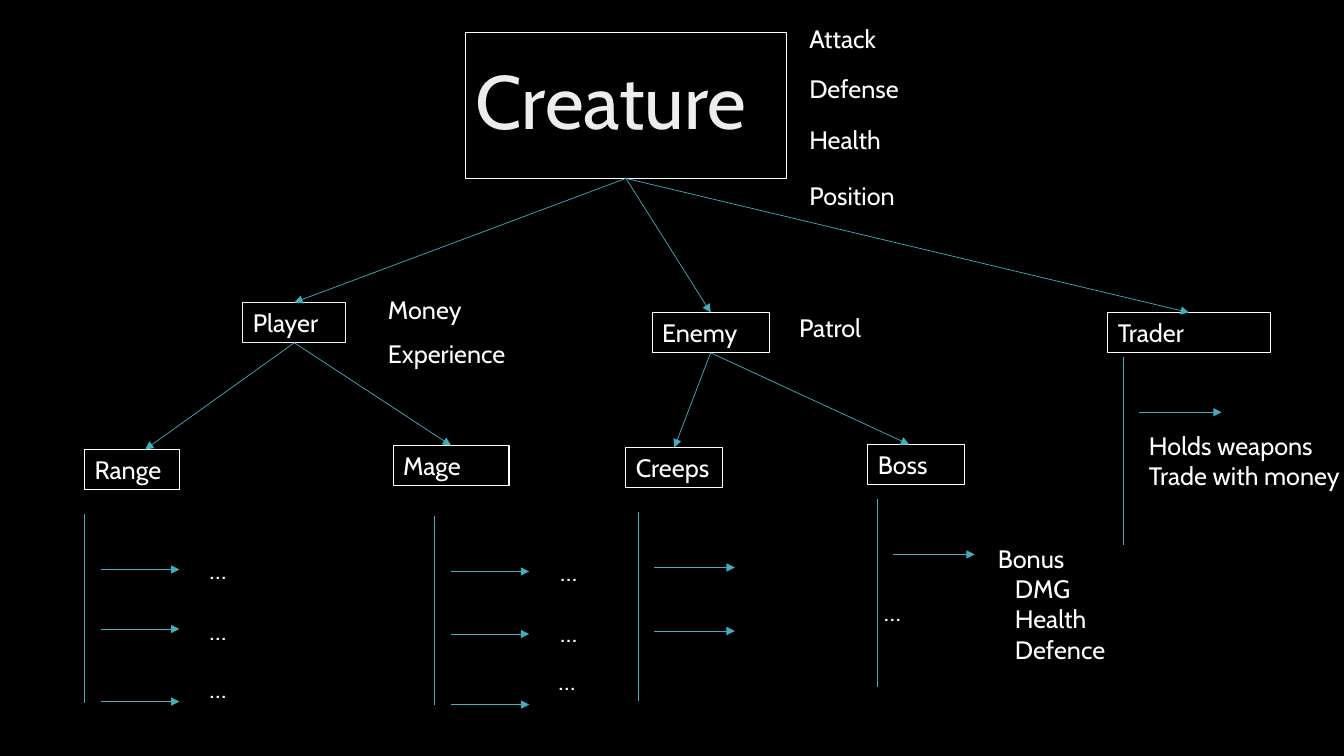
from lxml import etree
from pptx import Presentation
from pptx.dml.color import RGBColor
from pptx.enum.shapes import MSO_CONNECTOR, MSO_SHAPE
from pptx.enum.text import MSO_ANCHOR, MSO_AUTO_SIZE, PP_ALIGN
from pptx.oxml import parse_xml
from pptx.oxml.ns import nsdecls, qn
from pptx.util import Inches, Pt

RECTANGLE = MSO_SHAPE.RECTANGLE
STRAIGHT = MSO_CONNECTOR.STRAIGHT
TOP, MIDDLE = MSO_ANCHOR.TOP, MSO_ANCHOR.MIDDLE
LEFT = PP_ALIGN.LEFT
NO_FIT, GROW = MSO_AUTO_SIZE.NONE, MSO_AUTO_SIZE.SHAPE_TO_FIT_TEXT

BLACK = RGBColor(0x00, 0x00, 0x00)
WHITE = RGBColor(0xFF, 0xFF, 0xFF)
OFF_WHITE = RGBColor(0xF2, 0xF2, 0xF2)
TEAL = RGBColor(0x41, 0xAE, 0xBD)
SILVER = RGBColor(0xBF, 0xBF, 0xBF)
PALE = RGBColor(0xED, 0xED, 0xED)
TITLE_STOPS = ((0, SILVER), (28, PALE), (100, WHITE))
TITLE_ANGLE = 80

FONT = "Cabin"
CELL = 0.1  # inches per grid column and row
COLUMNS, ROWS = 133.33, 75
TEXT_ROWS = 4
BOTTOM_SITE, TOP_SITE = 2, 0


def grid(*cells):
    """Turn columns or rows into slide lengths."""
    return [Inches(cell * CELL) for cell in cells]


class Diagram:
    """Class tree drawn on one dark slide."""

    def __init__(self, presentation):
        presentation.slide_width, presentation.slide_height = grid(COLUMNS, ROWS)
        self.slide = presentation.slides.add_slide(presentation.slide_layouts[5])
        self.shapes = self.slide.shapes
        background = self.slide.background.fill
        background.solid()
        background.fore_color.rgb = BLACK

    def title(self, text, left, top, width, height):
        title = self.shapes.title
        title.left, title.top, title.width, title.height = grid(left, top, width, height)
        self.outline(title, WHITE)
        frame = title.text_frame
        frame.text = text
        frame.auto_size = NO_FIT
        frame.vertical_anchor = MIDDLE
        paragraph = frame.paragraphs[0]
        paragraph.alignment = LEFT
        paragraph.line_spacing = 0.9
        run = paragraph.runs[0]
        run.font.size, run.font.name = Pt(54), FONT
        stops = "".join(
            f'<a:gs pos="{share * 1000}"><a:srgbClr val="{color}"/></a:gs>'
            for share, color in TITLE_STOPS)
        gradient = parse_xml(
            f'<a:gradFill {nsdecls("a")}><a:gsLst>{stops}</a:gsLst>'
            f'<a:lin ang="{TITLE_ANGLE * 60000}" scaled="0"/></a:gradFill>')
        run._r.get_or_add_rPr().insert(0, gradient)
        return title

    def outline(self, shape, color):
        shape.line.color.rgb = color
        shape.line.width = Pt(0.75)

    def fill_text(self, shape, lines, indent=0):
        """Fill a shape with lines; those after the first are indented."""
        frame = shape.text_frame
        frame.text = "\n".join(lines)
        frame.word_wrap = True
        frame.auto_size = GROW
        frame.vertical_anchor = TOP
        for number, paragraph in enumerate(frame.paragraphs):
            paragraph.alignment = LEFT
            if number and indent:
                paragraph._p.get_or_add_pPr().set("marL", str(grid(indent)[0]))
            font = paragraph.runs[0].font
            font.size, font.name = Pt(18), FONT
            font.color.rgb = WHITE

    def box(self, name, left, top, width, color=WHITE):
        shape = self.shapes.add_shape(RECTANGLE, *grid(left, top, width, TEXT_ROWS))
        shape.shadow.inherit = False
        shape.fill.background()
        self.outline(shape, color)
        self.fill_text(shape, [name])
        return shape

    def label(self, lines, left, top, width, indent=0):
        height = 1 + 3 * len(lines)
        shape = self.shapes.add_textbox(*grid(left, top, width, height))
        self.fill_text(shape, lines, indent)

    def line(self, start, end, arrow=False):
        connector = self.shapes.add_connector(STRAIGHT, *grid(*start, *end))
        connector.line.color.rgb = TEAL
        connector.line.width = Pt(0.5)
        if arrow:
            tail = etree.SubElement(connector.line._get_or_add_ln(), qn("a:tailEnd"))
            tail.set("type", "triangle")
        etree.SubElement(connector._element.spPr, qn("a:effectLst"))
        return connector

    def inherit(self, parent, child, tip=None):
        """Arrow from parent to child, at its top middle unless a tip is given."""
        connector = self.line((0, 0), tip or (0, 0), arrow=True)
        connector.begin_connect(parent, BOTTOM_SITE)
        if tip is None:
            connector.end_connect(child, TOP_SITE)

    def members(self, column, top, length, rows):
        """Vertical stem with one arrow for each member row."""
        self.line((column, top), (column, top + 18.7))
        for row in rows:
            self.line((column + 1.6, row), (column + 1.6 + length, row), arrow=True)


CLASSES = (  # name, left, top, width, outline
    ("Player", 24.1, 30, 10.2, OFF_WHITE),
    ("Enemy", 64.7, 31, 11.6, WHITE),
    ("Trader", 109.9, 31, 16.1, WHITE),
    ("Range", 8.4, 44.6, 9.4, WHITE),
    ("Mage", 39, 44.2, 11.5, WHITE),
    ("Creeps", 62.1, 44.4, 9.6, WHITE),
    ("Boss", 86.1, 44.1, 9.6, WHITE),
)
CHILDREN = {
    "Creature": ("Player", "Enemy", "Trader"),
    "Player": ("Range", "Mage"),
    "Enemy": ("Creeps", "Boss"),
}
OFF_CENTRE_TIPS = {"Range": (14.4, 44.6), "Boss": (90.2, 44.1)}
MEMBERS = (  # stem column, stem top, arrow length, arrow rows
    (8.4, 51, 7.8, (56.5, 62.4, 69.6)),
    (43.1, 51.2, 7.8, (56.7, 62.9, 69.9)),
    (63.3, 50.8, 8, (56.3, 62.6)),
    (87, 49.5, 8.1, (55,)),
    (111.4, 35.4, 8.2, (40.9,)),
)
LABELS = (  # text, left, top, width
    ("Attack", 79.3, 1.8, 23.2),
    ("Defense", 79.3, 6.8, 26.2),
    ("Health", 79.3, 11.8, 23.2),
    ("Position", 79.3, 17.4, 23.2),
    ("Money", 37.5, 28.7, 23.2),
    ("Experience", 37.5, 33.1, 23.2),
    ("Patrol", 78.3, 30.5, 10.5),
)
ELLIPSES = (  # left, top
    (19.8, 54.5), (19.8, 60.6), (19.8, 66.3),
    (54.6, 54.7), (54.6, 60.8), (54.4, 65.5),
    (86.7, 58.7),
)


def main():
    presentation = Presentation()
    diagram = Diagram(presentation)
    boxes = {"Creature": diagram.title("Creature", 46.2, 3.2, 31.8, 14.5)}
    for name, *place in CLASSES:
        boxes[name] = diagram.box(name, *place)
    for parent, children in CHILDREN.items():
        for child in children:
            diagram.inherit(boxes[parent], boxes[child], OFF_CENTRE_TIPS.get(child))
    for branch in MEMBERS:
        diagram.members(*branch)
    for text, *place in LABELS:
        diagram.label([text], *place)
    for left, top in ELLIPSES:
        diagram.label(["…"], left, top, 16)
    diagram.label(["Bonus", "DMG", "Health", "Defence"], 98, 53.4, 23.2, indent=1.7)
    diagram.label(["Holds weapons", "Trade with money"], 113, 42.2, 21.9)
    presentation.save("out.pptx")


if __name__ == "__main__":
    main()
